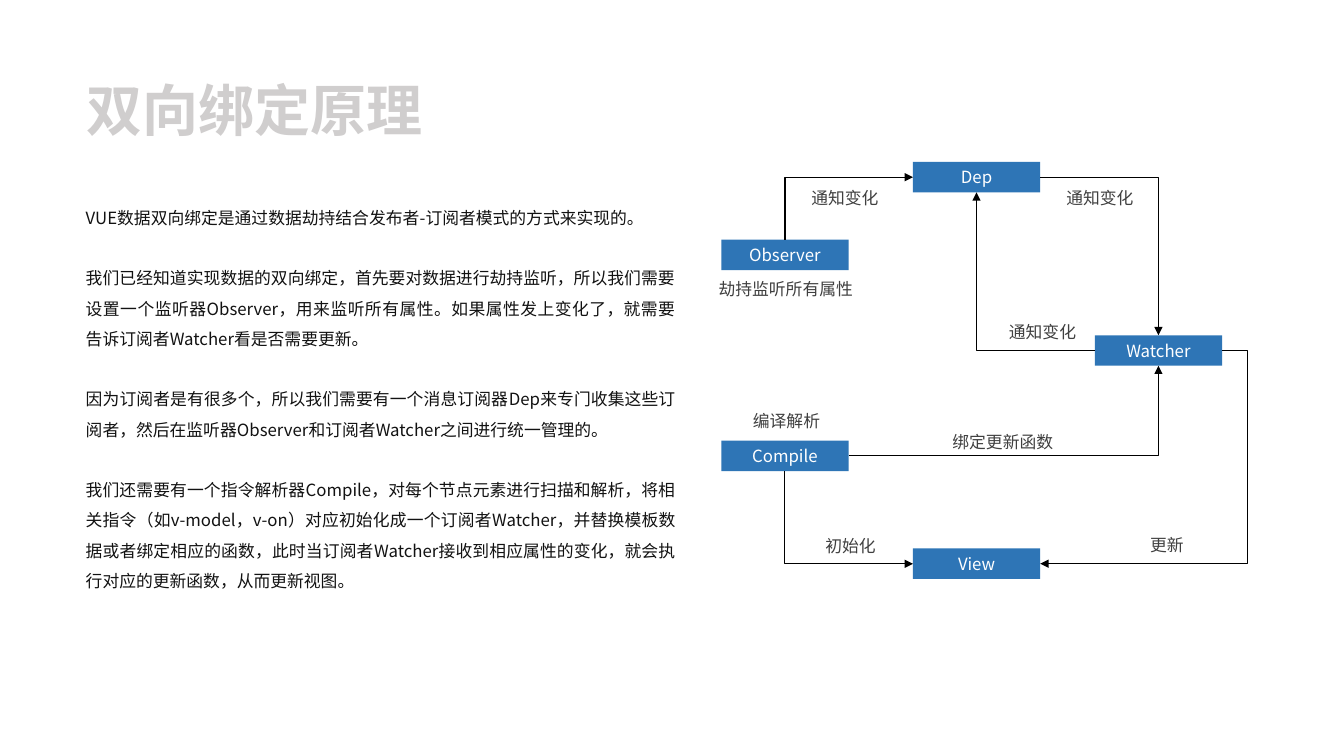
from dataclasses import dataclass

from lxml import etree
from pptx import Presentation, util as u
from pptx.dml.color import RGBColor
from pptx.enum import shapes, text
from pptx.oxml.ns import qn

CJK = "Noto Sans CJK SC"
SIZE = 12
NODE_W, NODE_H = 9.47, 4.03
OBSERVER_COL, DEP_COL, WATCHER_COL = 53.67, 67.93, 81.46
TOP, LEFT, BOTTOM, RIGHT = range(4)


@dataclass(frozen=True)
class Node:
    name: str
    left: float
    top: float


@dataclass(frozen=True)
class Label:
    words: str
    left: float
    top: float


@dataclass(frozen=True)
class Link:
    start: str
    start_side: int
    end: str
    end_side: int
    overhang: float = 0


TITLE = "双向绑定原理"
PARAGRAPHS = [
    "VUE数据双向绑定是通过数据劫持结合发布者-订阅者模式的方式来实现的。",
    "我们已经知道实现数据的双向绑定，首先要对数据进行劫持监听，所以我们需要设置一个监听器Observer，"
    "用来监听所有属性。如果属性发上变化了，就需要告诉订阅者Watcher看是否需要更新。",
    "因为订阅者是有很多个，所以我们需要有一个消息订阅器Dep来专门收集这些订阅者，"
    "然后在监听器Observer和订阅者Watcher之间进行统一管理的。",
    "我们还需要有一个指令解析器Compile，对每个节点元素进行扫描和解析，将相关指令（如v-model，v-on）"
    "对应初始化成一个订阅者Watcher，并替换模板数据或者绑定相应的函数，"
    "此时当订阅者Watcher接收到相应属性的变化，就会执行对应的更新函数，从而更新视图。",
]
NODES = [
    Node("Observer", OBSERVER_COL, 31.7),
    Node("Compile", OBSERVER_COL, 58.3),
    Node("Watcher", WATCHER_COL, 44.35),
    Node("Dep", DEP_COL, 21.43),
    Node("View", DEP_COL, 72.55),
]
LINKS = [
    Link("Observer", TOP, "Dep", LEFT),
    Link("Compile", BOTTOM, "View", LEFT),
    Link("Watcher", RIGHT, "View", RIGHT, overhang=0.25),
    Link("Dep", RIGHT, "Watcher", TOP),
    Link("Compile", RIGHT, "Watcher", BOTTOM),
    Link("Watcher", LEFT, "Dep", BOTTOM),
]
LABELS = [
    Label("劫持监听所有属性", 52.73, 36.27),
    Label("通知变化", 59.63, 24.13),
    Label("通知变化", 78.6, 24.13),
    Label("通知变化", 74.33, 41.87),
    Label("绑定更新函数", 70.13, 56.4),
    Label("编译解析", 55.28, 53.73),
    Label("初始化", 60.68, 70.27),
    Label("更新", 84.83, 70.13),
]

prs = Presentation()
prs.slide_width, prs.slide_height = u.Inches(13.33), u.Inches(7.5)
s = prs.slides.add_slide(prs.slide_layouts[1])


def across(share: float) -> int:
    return round(prs.slide_width * share / 100)


def down(share: float) -> int:
    return round(prs.slide_height * share / 100)


def color(value: str) -> RGBColor:
    return RGBColor.from_string(value)


def format_run(r, size: float, font: str, value: str, bold: bool = False) -> None:
    r.font.size, r.font.name, r.font.bold = u.Pt(size), font, bold
    r.font.color.rgb = color(value)
    etree.SubElement(r.font._element, qn("a:ea"), typeface=font)


def place(sp, left: float, top: float, width: float, height: float) -> None:
    sp.left, sp.top = across(left), down(top)
    sp.width, sp.height = across(width), down(height)


def draw_title() -> None:
    sp = s.shapes.title
    place(sp, 5.7, 9.33, 26.78, 10.27)
    tf = sp.text_frame
    tf.text = TITLE
    tf.word_wrap, tf.auto_size = False, text.MSO_AUTO_SIZE.NONE
    p = tf.paragraphs[0]
    p.alignment = text.PP_ALIGN.LEFT
    format_run(p.runs[0], 40, "Open Sans", "D0CECE", bold=True)


def draw_body() -> None:
    sp = s.placeholders[1]
    place(sp, 5.63, 25.47, 45.38, 53.33)
    tf = sp.text_frame
    tf.word_wrap, tf.auto_size = True, text.MSO_AUTO_SIZE.NONE
    for i, words in enumerate(PARAGRAPHS):
        p = tf.add_paragraph() if i else tf.paragraphs[0]
        p.text = words
        p.alignment, p.line_spacing = text.PP_ALIGN.JUSTIFY, 1.5
        p.space_before = u.Pt(1.8 * SIZE if i else 0)
        p.space_after = u.Pt(0)
        pr = p._p.get_or_add_pPr()
        pr.set("marL", "0")
        pr.set("indent", "0")
        etree.SubElement(pr, qn("a:buNone"))
        format_run(p.runs[0], SIZE, CJK, "121212")


def draw_node(node: Node):
    sp = s.shapes.add_shape(shapes.MSO_SHAPE.RECTANGLE, 0, 0, 0, 0)
    place(sp, node.left, node.top, NODE_W, NODE_H)
    sp.shadow.inherit = False
    sp.fill.solid()
    sp.fill.fore_color.rgb = color("2E75B6")
    sp.line.fill.background()
    sp.text_frame.text = node.name
    p = sp.text_frame.paragraphs[0]
    p.alignment = text.PP_ALIGN.CENTER
    format_run(p.runs[0], SIZE, CJK, "FFFFFF")
    return sp


def turn_vertical_first(c) -> None:
    dx, dy = c.end_x - c.begin_x, c.end_y - c.begin_y
    mid_x, mid_y = (c.begin_x + c.end_x) // 2, (c.begin_y + c.end_y) // 2
    c.width, c.height = abs(dy), abs(dx)
    c.left, c.top = mid_x - c.width // 2, mid_y - c.height // 2
    xfrm = c._element.spPr.xfrm
    xfrm.rot, xfrm.flipH, xfrm.flipV = 90, dy < 0, dx > 0


def draw_link(link: Link, boxes: dict) -> None:
    c = s.shapes.add_connector(shapes.MSO_CONNECTOR.ELBOW, 0, 0, 0, 0)
    c.begin_connect(boxes[link.start], link.start_side)
    c.end_connect(boxes[link.end], link.end_side)
    pr = c._element.spPr
    geom = pr.find(qn("a:prstGeom"))
    if link.overhang:
        share = round(-100000 * u.Inches(link.overhang) / c.width)
        etree.SubElement(geom.find(qn("a:avLst")), qn("a:gd"), name="adj1", fmla=f"val {share}")
    else:
        geom.set("prst", "bentConnector2")
    if link.start_side in (TOP, BOTTOM):
        turn_vertical_first(c)
    c.line.color.rgb, c.line.width = color("000000"), u.Pt(0.75)
    etree.SubElement(pr.find(qn("a:ln")), qn("a:tailEnd"), type="triangle")
    etree.SubElement(pr, qn("a:effectLst"))


def draw_label(label: Label) -> None:
    width = u.Inches(0.2) + u.Pt(SIZE) * len(label.words)
    sp = s.shapes.add_textbox(across(label.left), down(label.top), width, down(NODE_H))
    sp.text_frame.text = label.words
    sp.text_frame.word_wrap = False
    format_run(sp.text_frame.paragraphs[0].runs[0], SIZE, CJK, "404040")


draw_title()
draw_body()
boxes = {node.name: draw_node(node) for node in NODES}
for link in LINKS:
    draw_link(link, boxes)
for label in LABELS:
    draw_label(label)

prs.save("out.pptx")
